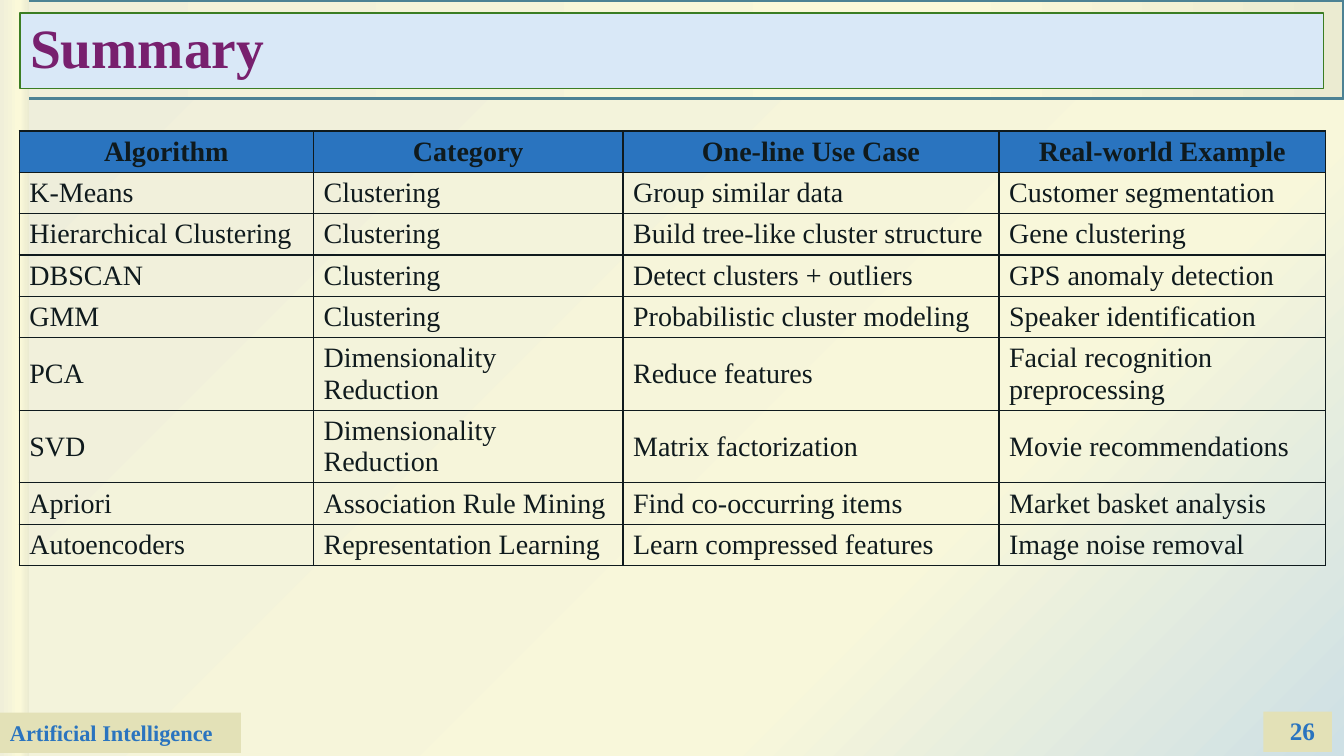
from copy import deepcopy

from lxml.etree import SubElement
from pptx import Presentation
from pptx.dml.color import RGBColor
from pptx.enum.shapes import MSO_SHAPE
from pptx.enum.text import MSO_ANCHOR, PP_ALIGN
from pptx.oxml.ns import qn
from pptx.util import Inches, Pt

WIDTH, HEIGHT = 13.33, 7.5
FONT = "Times New Roman"
COLORS = {
    "ink": "0F1A1D",
    "blue": "2A74BF",
    "purple": "78206E",
    "green": "3B7D23",
    "teal": "4C8294",
    "title_fill": "D9E8F7",
    "tag": "E3E1B7",
    "mist": "CEE0E5",
    "cream": "F8F7DA",
    "ivory": "EEEEDB",
    "pale": "F0EFD9",
    "lemon": "FBF9D9",
    "khaki": "EBEBD1",
}
COLUMN_SHARES = [21.9, 23.03, 27.98, 24.3]
ROW_SHARE, TALL_ROW_SHARE = 5.47, 9.6
TALL_ROWS = {"PCA", "SVD"}
SUMMARY = [
    ["Algorithm", "Category", "One-line Use Case", "Real-world Example"],
    ["K-Means", "Clustering", "Group similar data", "Customer segmentation"],
    ["Hierarchical Clustering", "Clustering", "Build tree-like cluster structure", "Gene clustering"],
    ["DBSCAN", "Clustering", "Detect clusters + outliers", "GPS anomaly detection"],
    ["GMM", "Clustering", "Probabilistic cluster modeling", "Speaker identification"],
    ["PCA", "Dimensionality Reduction", "Reduce features", "Facial recognition preprocessing"],
    ["SVD", "Dimensionality Reduction", "Matrix factorization", "Movie recommendations"],
    ["Apriori", "Association Rule Mining", "Find co-occurring items", "Market basket analysis"],
    ["Autoencoders", "Representation Learning", "Learn compressed features", "Image noise removal"],
]


def rgb(name):
    return RGBColor.from_string(COLORS[name])


def across(share):
    return Inches(WIDTH * share / 100)


def down(share):
    return Inches(HEIGHT * share / 100)


def area(left, top, width, height):
    return across(left), down(top), across(width), down(height)


def add_panel(slide, box, fill=None, line=None, weight=1):
    sp = slide.shapes.add_shape(MSO_SHAPE.RECTANGLE, *area(*box))
    sp.shadow.inherit = False
    if fill:
        sp.fill.solid()
        sp.fill.fore_color.rgb = rgb(fill)
    if line:
        sp.line.color.rgb = rgb(line)
        sp.line.width = Pt(weight)
    else:
        sp.line.fill.background()
    return sp


def set_gradient(sp, stops, angle):
    sp.fill.gradient()
    sp.fill.gradient_angle = angle
    gs_list = sp._element.spPr.find(qn("a:gradFill")).find(qn("a:gsLst"))
    while len(gs_list) < len(stops):
        gs_list.append(deepcopy(gs_list[0]))
    for gs, (position, color) in zip(sp.fill.gradient_stops, stops):
        gs.position = position
        gs.color.rgb = rgb(color)


def write(tf, text, size, color, bold=True, align=PP_ALIGN.LEFT):
    tf.word_wrap = True
    p = tf.paragraphs[0]
    p.alignment = align
    r = p.add_run()
    r.text = text
    r.font.name = FONT
    r.font.size = Pt(size)
    r.font.bold = bold
    r.font.color.rgb = rgb(color)
    return p


def set_borders(cell, color):
    tc_pr = cell._tc.get_or_add_tcPr()
    for index, side in enumerate(("a:lnL", "a:lnR", "a:lnT", "a:lnB")):
        ln = SubElement(tc_pr, qn(side), w=str(Pt(1)))
        fill = SubElement(ln, qn("a:solidFill"))
        SubElement(fill, qn("a:srgbClr"), val=COLORS[color])
        tc_pr.insert(index, ln)


def add_backdrop(slide):
    page = add_panel(slide, (0, 0, 100, 100))
    set_gradient(page, [(0, "ivory"), (0.7, "cream"), (1, "mist")], 315)
    header = add_panel(slide, (0, 0, 100, 13.07), line="teal", weight=2.25)
    set_gradient(header, [(0, "khaki"), (0.3, "lemon"), (1, "pale")], 180)
    add_panel(slide, (94, 94.13, 5.1, 5.33), "tag")
    strip = add_panel(slide, (0, 0, 2.18, 100))
    set_gradient(strip, [(0, "pale"), (0.66, "lemon"), (1, "khaki")], 0)


def add_footer(slide):
    sp = add_panel(slide, (0, 94.27, 17.93, 5.33), "tag")
    write(sp.text_frame, "Artificial Intelligence", 16, "blue")


def add_title(slide):
    sp = add_panel(slide, (1.5, 1.73, 97, 10), "title_fill", "green")
    p = write(sp.text_frame, "Summary", 39.6, "purple")
    p.line_spacing = 0.9


def add_summary_table(slide):
    heights = [TALL_ROW_SHARE if row[0] in TALL_ROWS else ROW_SHARE for row in SUMMARY]
    box = area(1.43, 17.33, sum(COLUMN_SHARES), sum(heights))
    table = slide.shapes.add_table(len(SUMMARY), len(COLUMN_SHARES), *box).table
    table.horz_banding = False
    for column, share in zip(table.columns, COLUMN_SHARES):
        column.width = across(share)
    for i, texts in enumerate(SUMMARY):
        table.rows[i].height = down(heights[i])
        head = i == 0
        for j, text in enumerate(texts):
            cell = table.cell(i, j)
            cell.vertical_anchor = MSO_ANCHOR.MIDDLE
            if head:
                cell.fill.solid()
                cell.fill.fore_color.rgb = rgb("blue")
            else:
                cell.fill.background()
            align = PP_ALIGN.CENTER if head else PP_ALIGN.LEFT
            write(cell.text_frame, text, 20, "ink", head, align)
            set_borders(cell, "ink")


def add_page_number(slide):
    tf = slide.shapes.add_textbox(*area(84.7, 94, 13.88, 5.33)).text_frame
    tf.vertical_anchor = MSO_ANCHOR.MIDDLE
    write(tf, "26", 18, "blue", align=PP_ALIGN.RIGHT)


def main():
    prs = Presentation()
    prs.slide_width, prs.slide_height = Inches(WIDTH), Inches(HEIGHT)
    slide = prs.slides.add_slide(prs.slide_layouts[6])
    add_backdrop(slide)
    add_footer(slide)
    add_title(slide)
    add_summary_table(slide)
    add_page_number(slide)
    prs.save("out.pptx")


if __name__ == "__main__":
    main()
